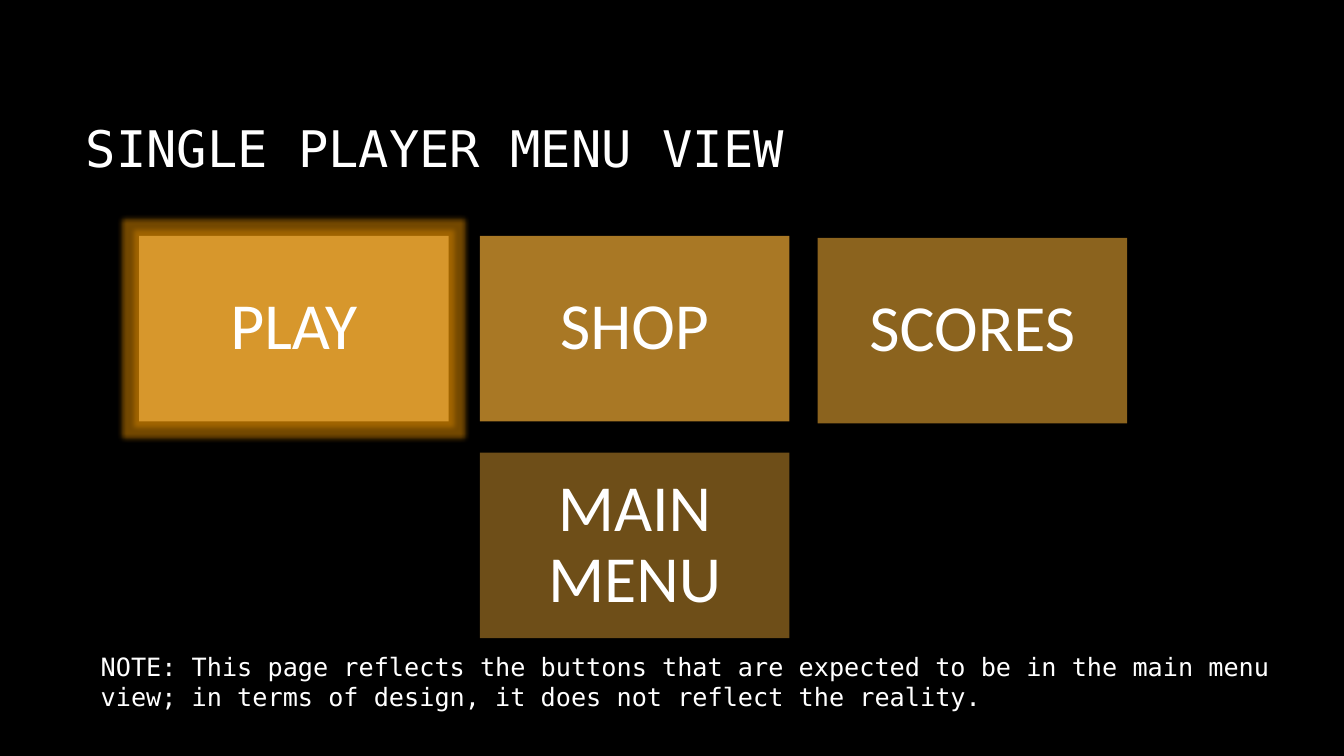
from lxml.etree import SubElement
from pptx import Presentation
from pptx.dml.color import RGBColor
from pptx.enum.shapes import MSO_SHAPE
from pptx.enum.text import MSO_ANCHOR, MSO_AUTO_SIZE, PP_ALIGN
from pptx.oxml.ns import qn
from pptx.util import Inches, Pt

COLORS = {"black": "000000", "white": "FFFFFF", "gold": "DD9D31", "glow": "C07800"}
MONO, SANS = "DejaVu Sans Mono", "Calibri"

# Button grid, in inches
COLS = (1.38, 4.76, 8.11)
ROWS = (2.34, 4.49)
BUTTON_W, BUTTON_H = 3.07, 1.84
BUTTONS = [  # label, column, row, downward shift, opacity in percent
    ("PLAY", 0, 0, 0, 90),
    ("SHOP", 1, 0, 0, 77),
    ("SCORES", 2, 0, 0.02, 63),
    ("MAIN MENU", 1, 1, 0, 50),
]


def rgb(name):
    return RGBColor.from_string(COLORS[name])


def write(tf, text, size, font, align=PP_ALIGN.LEFT, anchor=MSO_ANCHOR.TOP,
          inset=None, spacing=None):
    tf.word_wrap = True
    tf.vertical_anchor = anchor
    if inset is not None:
        tf.margin_left = tf.margin_right = Inches(inset)
        tf.margin_top = tf.margin_bottom = Inches(inset)
    p = tf.paragraphs[0]
    p.alignment = align
    if spacing:
        p.line_spacing = spacing
    r = p.add_run()
    r.text = text
    r.font.size = Pt(size)
    r.font.name = font
    r.font.color.rgb = rgb("white")


def set_alpha(color, percent):
    SubElement(color, qn("a:alpha")).set("val", str(percent * 1000))


def add_glow(sp, radius, percent):
    effects = sp._element.spPr.find(qn("a:effectLst"))
    glow = SubElement(effects, qn("a:glow"), rad=str(Inches(radius)))
    color = SubElement(glow, qn("a:srgbClr"), val=COLORS["glow"])
    set_alpha(color, percent)


def add_title(s, box, text):
    sp = s.shapes.title
    sp.left, sp.top, sp.width, sp.height = map(Inches, box)
    write(sp.text_frame, text, 36, MONO, anchor=MSO_ANCHOR.MIDDLE)
    sp.text_frame.auto_size = MSO_AUTO_SIZE.NONE


def add_button(s, box, label, opacity):
    sp = s.shapes.add_shape(MSO_SHAPE.RECTANGLE, *map(Inches, box))
    sp.shadow.inherit = False
    sp.line.fill.background()
    sp.fill.solid()
    sp.fill.fore_color.rgb = rgb("gold")
    set_alpha(sp._element.spPr.find(qn("a:solidFill"))[0], opacity)
    write(sp.text_frame, label, 47, SANS, align=PP_ALIGN.CENTER,
          anchor=MSO_ANCHOR.MIDDLE, inset=0.2, spacing=0.9)
    return sp


def add_menu(s):
    for label, col, row, shift, opacity in BUTTONS:
        box = (COLS[col], ROWS[row] + shift, BUTTON_W, BUTTON_H)
        sp = add_button(s, box, label, opacity)
        if label == "PLAY":  # selected button
            add_glow(sp, 0.11, 60)


def add_note(s, box, text):
    sp = s.shapes.add_textbox(*map(Inches, box))
    write(sp.text_frame, text, 18, MONO)
    sp.text_frame.auto_size = MSO_AUTO_SIZE.SHAPE_TO_FIT_TEXT


def main():
    prs = Presentation()
    prs.slide_width, prs.slide_height = Inches(13.33), Inches(7.5)
    s = prs.slides.add_slide(prs.slide_layouts[5])
    s.background.fill.solid()
    s.background.fill.fore_color.rgb = rgb("black")
    add_title(s, (0.75, 0.67, 11.08, 1.59), "SINGLE PLAYER MENU VIEW")
    add_menu(s)
    add_note(s, (0.9, 6.41, 12.08, 0.71),
             "NOTE: This page reflects the buttons that are expected to be in the main "
             "menu view; in terms of design, it does not reflect the reality.")
    prs.save("out.pptx")


if __name__ == "__main__":
    main()
